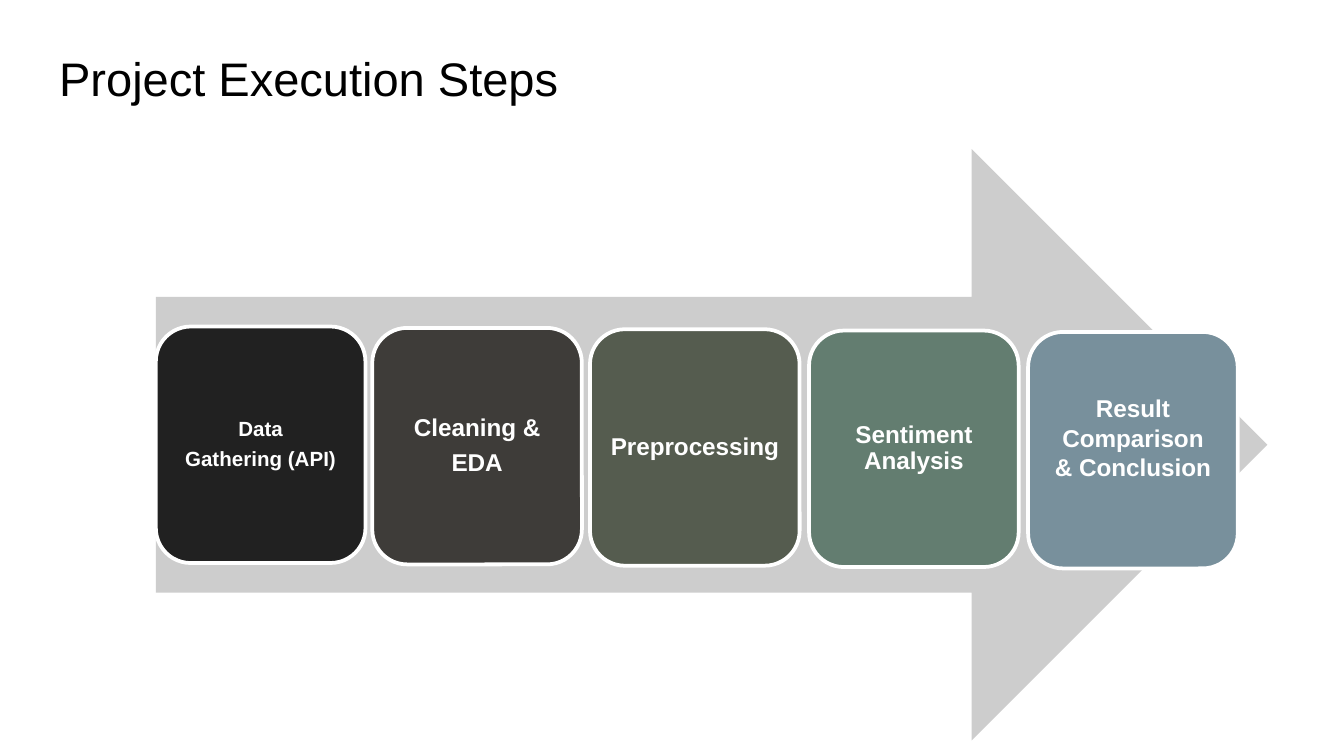
from pptx import Presentation
from pptx.dml.color import RGBColor
from pptx.enum.shapes import MSO_SHAPE
from pptx.enum.text import MSO_ANCHOR, MSO_AUTO_SIZE, PP_ALIGN
from pptx.util import Inches, Pt

ARROW, CARD = MSO_SHAPE.RIGHT_ARROW, MSO_SHAPE.ROUNDED_RECTANGLE
TOP, MIDDLE = MSO_ANCHOR.TOP, MSO_ANCHOR.MIDDLE
LEFT, CENTER = PP_ALIGN.LEFT, PP_ALIGN.CENTER
NO_AUTOFIT = MSO_AUTO_SIZE.NONE

BLACK = RGBColor(0x00, 0x00, 0x00)
WHITE = RGBColor(0xFF, 0xFF, 0xFF)
ARROW_GRAY = RGBColor(0xCD, 0xCD, 0xCD)
CHARCOAL = RGBColor(0x21, 0x21, 0x21)
UMBER = RGBColor(0x3E, 0x3C, 0x39)
OLIVE = RGBColor(0x55, 0x5C, 0x4F)
GREEN = RGBColor(0x63, 0x7D, 0x70)
SLATE = RGBColor(0x78, 0x90, 0x9C)

FONT = "Arial"
SLIDE_WIDTH = 10
SLIDE_HEIGHT = SLIDE_WIDTH * 9 / 16
TITLE = "Project Execution Steps"
# text, left, fill, size, line spacing, space after as a share of size, bottom inset
STEPS = [
    ("Data\nGathering (API)", 1.16, CHARCOAL, 11, 0.9, 0.35, 0.05),
    ("Cleaning &\nEDA", 2.77, UMBER, 13, 0.9, 0.35, 0.05),
    ("Preprocessing", 4.39, OLIVE, 13, 0.9, 0.35, 0.05),
    ("Sentiment Analysis", 6.02, GREEN, 13, 0.9, 0.35, 0.05),
    ("Result Comparison\n& Conclusion", 7.65, SLATE, 13, 1.0, 0, 0.24),
]
CARD_TOP, STEP_DOWN = 2.43, 0.01
CARD_WIDTH, CARD_HEIGHT = 1.56, 1.76


def set_insets(frame, inset, bottom):
    frame.margin_left = frame.margin_right = frame.margin_top = Inches(inset)
    frame.margin_bottom = Inches(bottom)


def style_font(font, size, color, bold):
    font.name, font.size, font.bold = FONT, Pt(size), bold
    font.color.rgb = color


def add_filled_shape(page, kind, left, top, width, height, fill):
    shape = page.shapes.add_shape(
        kind, Inches(left), Inches(top), Inches(width), Inches(height))
    shape.shadow.inherit = False
    shape.fill.solid()
    shape.fill.fore_color.rgb = fill
    shape.line.fill.background()
    return shape


def add_title(page):
    title = page.shapes.title
    title.left, title.top = Inches(0.34), Inches(0.27)
    title.width, title.height = Inches(9.32), Inches(0.63)
    frame = title.text_frame
    frame.text = TITLE
    frame.word_wrap = True
    frame.auto_size = NO_AUTOFIT
    frame.vertical_anchor = TOP
    set_insets(frame, 0.1, 0.1)
    paragraph = frame.paragraphs[0]
    paragraph.alignment = LEFT
    style_font(paragraph.runs[0].font, 25.2, BLACK, False)


def add_step(page, index, text, left, fill, size, spacing, after, bottom):
    card = add_filled_shape(
        page, CARD, left, CARD_TOP + index * STEP_DOWN,
        CARD_WIDTH, CARD_HEIGHT, fill)
    card.line.color.rgb = WHITE
    card.line.width = Pt(2)
    frame = card.text_frame
    frame.text = text
    frame.word_wrap = True
    frame.vertical_anchor = MIDDLE
    set_insets(frame, 0.05, bottom)
    for paragraph in frame.paragraphs:
        paragraph.alignment = CENTER
        paragraph.line_spacing = spacing
        paragraph.space_after = Pt(size * after)
        style_font(paragraph.runs[0].font, size, WHITE, True)


def main():
    deck = Presentation()
    deck.slide_width, deck.slide_height = Inches(SLIDE_WIDTH), Inches(SLIDE_HEIGHT)
    page = deck.slides.add_slide(deck.slide_layouts[5])
    add_title(page)
    add_filled_shape(page, ARROW, 1.16, 1.11, 8.27, 4.4, ARROW_GRAY)
    for index, step in enumerate(STEPS):
        add_step(page, index, *step)
    deck.save("out.pptx")


if __name__ == "__main__":
    main()
